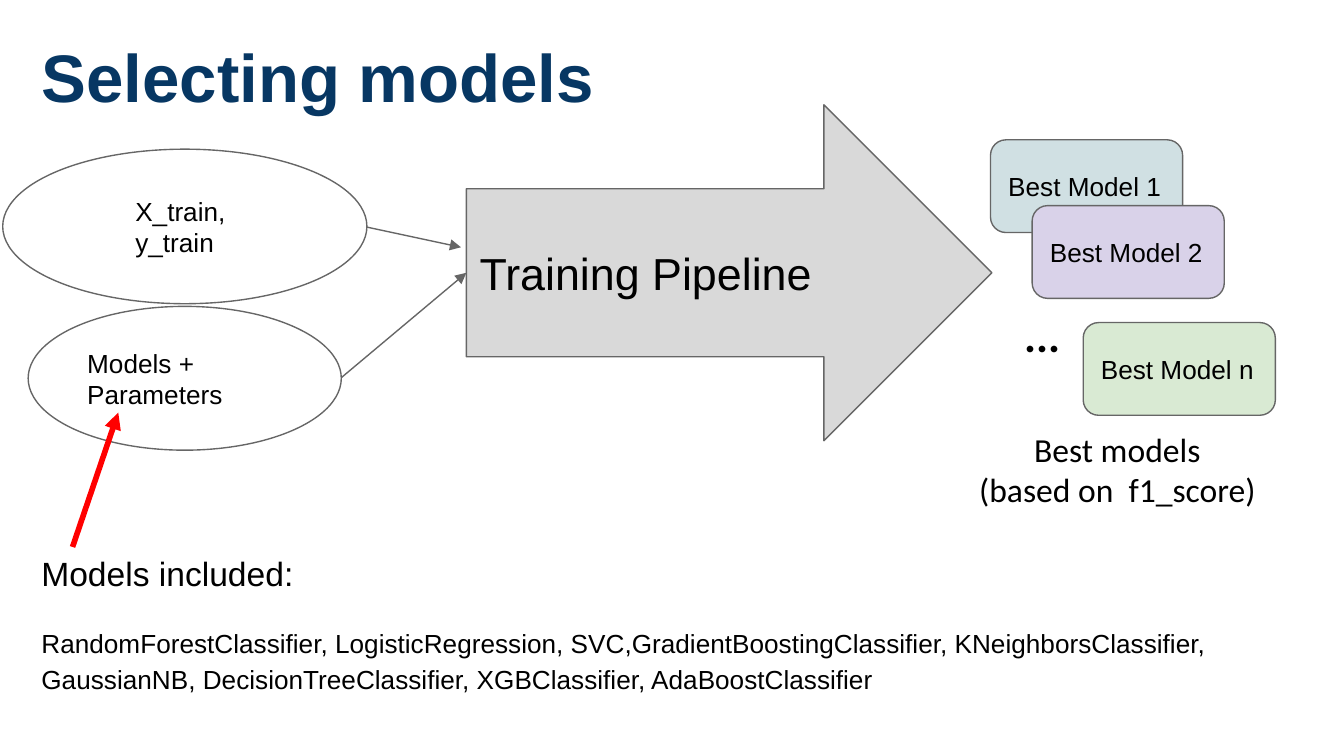
from lxml.etree import SubElement
from pptx import Presentation
from pptx.dml.color import RGBColor
from pptx.enum.shapes import MSO_CONNECTOR, MSO_SHAPE
from pptx.enum.text import MSO_ANCHOR, MSO_AUTO_SIZE, PP_ALIGN
from pptx.oxml.ns import qn
from pptx.util import Pt

PX = 9144  # EMU per px, 100 px to the inch
INSET = 10
COLORS = {
    "title": "073763", "text": "000000", "outline": "666666", "pipeline": "D9D9D9",
    "model_1": "D0E0E3", "model_2": "D9D2E9", "model_n": "D9EAD3", "pointer": "FF0000",
}


def rgb(name):
    return RGBColor.from_string(COLORS[name])


def px(*values):
    return [v * PX for v in values]


def write(sp, lines, size, font="Arial", color="text", bold=False,
          align=PP_ALIGN.LEFT, anchor=MSO_ANCHOR.TOP, left=INSET, right=INSET):
    tf = sp.text_frame
    tf.auto_size = MSO_AUTO_SIZE.NONE
    tf.word_wrap = True
    tf.vertical_anchor = anchor
    tf.margin_left, tf.margin_top, tf.margin_right, tf.margin_bottom = px(
        left, INSET, right, INSET)
    tf.text = "\n".join(lines)
    for p in tf.paragraphs:
        p.alignment = align
        p.font.name, p.font.size, p.font.bold = font, Pt(size), bold
        p.font.color.rgb = rgb(color)
    return tf


def add_text(slide, box, lines, size, **style):
    return write(slide.shapes.add_textbox(*px(*box)), lines, size, **style)


def add_node(slide, kind, box, lines, size, fill=None, **style):
    sp = slide.shapes.add_shape(kind, *px(*box))
    sp.shadow.inherit = False
    if fill:
        sp.fill.solid()
        sp.fill.fore_color.rgb = rgb(fill)
    else:
        sp.fill.background()
    sp.line.color.rgb = rgb("outline")
    sp.line.width = Pt(0.75)
    write(sp, lines, size, anchor=MSO_ANCHOR.MIDDLE, **style)
    return sp


def add_arrow(slide, start, end, color="outline", width=0.75):
    cxn = slide.shapes.add_connector(MSO_CONNECTOR.STRAIGHT, *px(*start, *end))
    cxn.line.color.rgb = rgb(color)
    cxn.line.width = Pt(width)
    SubElement(cxn.line._get_or_add_ln(), qn("a:tailEnd"), type="triangle")
    SubElement(cxn._element.spPr, qn("a:effectLst"))
    return cxn


def add_title(slide, x, y, w, h):
    title = slide.shapes.title
    title.left, title.top, title.width, title.height = px(x, y, w, h)
    write(title, ["Selecting models"], 36, color="title", bold=True)


def add_pipeline(slide, x, y, w, h):
    return add_node(slide, MSO_SHAPE.RIGHT_ARROW, (x, y, w, h),
                    ["Training Pipeline"], 24, "pipeline")


def add_inputs(slide, x, y, w, h, pipeline):
    data_h, params_h, side = 115, 107, 19
    params_y = y + h - params_h
    add_node(slide, MSO_SHAPE.OVAL, (x, y, w, data_h),
             ["X_train,", "y_train"], 14, left=59)
    add_node(slide, MSO_SHAPE.OVAL, (x + side, params_y, w - 2 * side, params_h),
             ["Models + Parameters"], 14)
    # Arrows into the pipeline
    add_arrow(slide, (x + w, y + 58), (x + w + 70, y + 73))
    cxn = add_arrow(slide, (x + w - side, params_y + 53), (x + w + 74, y + 92))
    cxn.end_connect(pipeline, 1)


def add_results(slide, x, y, w, h):
    card_w, card_h = 143, 69
    cards = [(57, 0, "1"), (88, 49, "2"), (126, 136, "n")]
    for dx, dy, name in cards:
        add_node(slide, MSO_SHAPE.ROUNDED_RECTANGLE, (x + dx, y + dy, card_w, card_h),
                 [f"Best Model {name}"], 14, f"model_{name}")
    add_text(slide, (x + 57, y + 115, 98, card_h), ["..."], 24,
             font="Calibri", bold=True, left=25)
    # Caption under the cards
    caption_h = 88
    add_text(slide, (x, y + h - caption_h, w, caption_h),
             ["Best models", "(based on  f1_score)"], 18,
             font="Calibri", align=PP_ALIGN.CENTER, right=16)


def add_model_list(slide, x, y, w, h):
    tf = add_text(slide, (x, y, w, h), [
        "Models included:",
        "RandomForestClassifier, LogisticRegression, SVC,GradientBoostingClassifier, "
        "KNeighborsClassifier, GaussianNB, DecisionTreeClassifier, XGBClassifier, "
        "AdaBoostClassifier",
    ], 14)
    heading, names = tf.paragraphs
    heading.font.size = Pt(18)
    heading.line_spacing = names.line_spacing = 1.15
    names.space_before = names.space_after = Pt(16)
    # Pointer up to the parameters
    add_arrow(slide, (x + 33, y + 10), (x + 67, y - 90), "pointer", 3)


def main():
    prs = Presentation()
    prs.slide_width = 1000 * PX
    prs.slide_height = prs.slide_width * 9 // 16
    slide = prs.slides.add_slide(prs.slide_layouts[5])
    add_title(slide, 21, 16, 966, 88)
    pipeline = add_pipeline(slide, 347, 78, 391, 250)
    add_inputs(slide, 2, 111, 271, 224, pipeline)
    add_results(slide, 680, 104, 309, 293)
    add_model_list(slide, 21, 397, 966, 134)
    prs.save("out.pptx")


if __name__ == "__main__":
    main()
